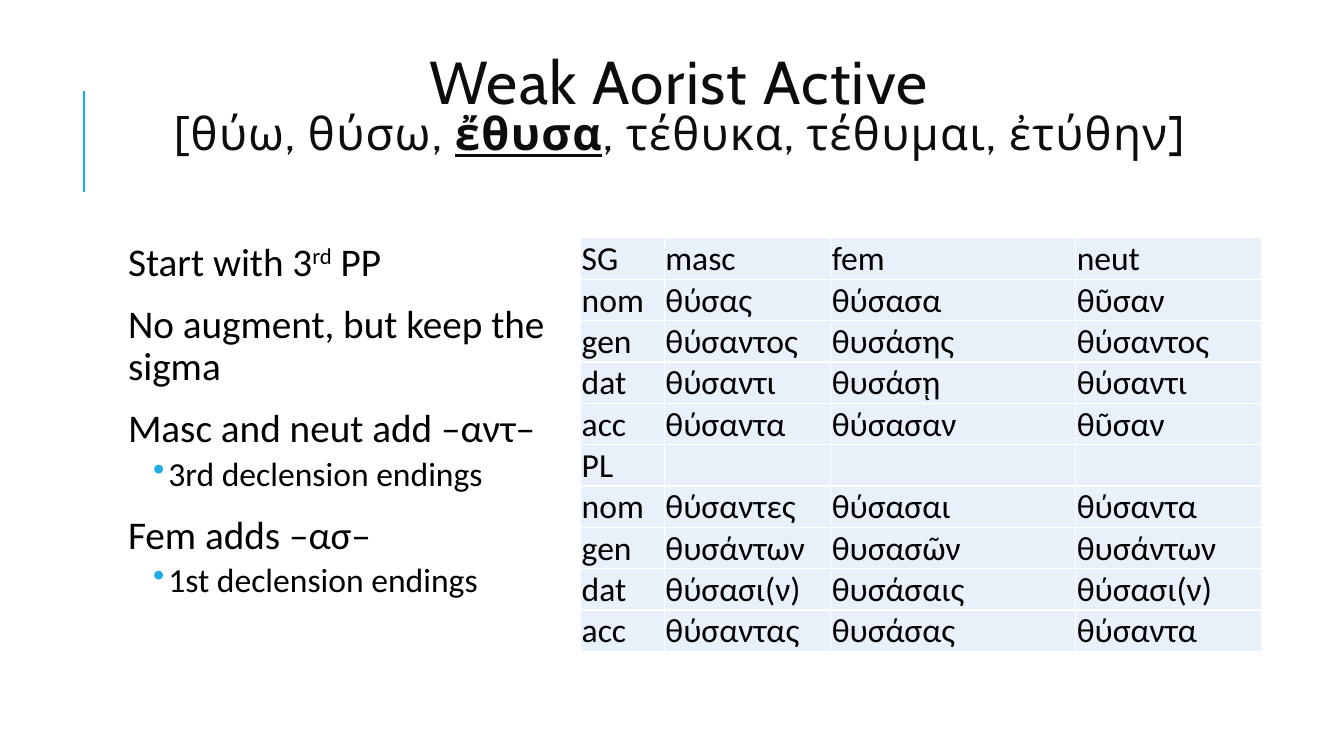
import pptx
import pptx.util
import pptx.dml.color
import pptx.enum.shapes
import pptx.enum.text
import pptx.oxml.ns
import lxml.etree

Inches, Pt = pptx.util.Inches, pptx.util.Pt
RGBColor = pptx.dml.color.RGBColor
ANCHOR = pptx.enum.text.MSO_ANCHOR
qn = pptx.oxml.ns.qn

ACCENT = RGBColor(0x1C, 0xAD, 0xE4)
TITLE_INK = RGBColor(0x0D, 0x0D, 0x0D)
BLACK = RGBColor(0, 0, 0)
WHITE = RGBColor(0xFF, 0xFF, 0xFF)
PALE_BLUE = RGBColor(0xE8, 0xF1, 0xFA)

# Content
HEADING = "Weak Aorist Active"
PRINCIPAL_PARTS = [("[θύω, θύσω, ", False), ("ἔθυσα", True),
                   (", τέθυκα, τέθυμαι, ἐτύθην]", False)]
# Each rule: is it a sub-point, then its runs as (text, superscript)
RULES = [
    (False, [("Start with 3", False), ("rd", True), (" PP", False)]),
    (False, [("No augment, but keep the sigma", False)]),
    (False, [("Masc and neut add –αντ–", False)]),
    (True, [("3rd declension endings", False)]),
    (False, [("Fem adds –ασ–", False)]),
    (True, [("1st declension endings", False)]),
]
PARADIGM = [
    ("SG", "masc", "fem", "neut"),
    ("nom", "θύσας", "θύσασα", "θῦσαν"),
    ("gen", "θύσαντος", "θυσάσης", "θύσαντος"),
    ("dat", "θύσαντι", "θυσάσῃ", "θύσαντι"),
    ("acc", "θύσαντα", "θύσασαν", "θῦσαν"),
    ("PL", "", "", ""),
    ("nom", "θύσαντες", "θύσασαι", "θύσαντα"),
    ("gen", "θυσάντων", "θυσασῶν", "θυσάντων"),
    ("dat", "θύσασι(ν)", "θυσάσαις", "θύσασι(ν)"),
    ("acc", "θύσαντας", "θυσάσας", "θύσαντα"),
]

# Layout, in inches
LEFT, CONTENT_TOP = 1.12, 2.36
TABLE_LEFT = 5.76
COLUMNS = [0.83, 1.65, 2.43, 1.84]
ROW = 0.41


def add_run(paragraph, text, size, face, color):
    run = paragraph.add_run()
    run.text = text
    run.font.size = Pt(size)
    run.font.name = face
    run.font.color.rgb = color
    return run


def add_text_frame(slide, left, top, width, height):
    frame = slide.shapes.add_textbox(
        Inches(left), Inches(top), Inches(width), Inches(height)).text_frame
    frame.word_wrap = True
    return frame


def add_accent_rule(slide):
    rule = slide.shapes.add_connector(
        pptx.enum.shapes.MSO_CONNECTOR.STRAIGHT,
        Inches(0.83), Inches(1.9), Inches(0.83), Inches(0.9))
    rule.line.color.rgb = ACCENT
    rule.line.width = Pt(1.5)
    lxml.etree.SubElement(rule._element.spPr, qn("a:effectLst"))


def add_title(slide):
    frame = add_text_frame(slide, LEFT, 0.64, 11.24, 0.88)
    frame.vertical_anchor = ANCHOR.MIDDLE
    title = frame.paragraphs[0]
    title.alignment = pptx.enum.text.PP_ALIGN.CENTER
    title.line_spacing = 0.8
    runs = [add_run(title, HEADING, 43.2, "Cabin", TITLE_INK)]
    title.add_line_break()
    for text, stressed in PRINCIPAL_PARTS:
        run = add_run(title, text, 32.4, "Cabin", TITLE_INK)
        run.font.bold = run.font.underline = stressed
        runs.append(run)
    for run in runs:
        run.font._element.set("spc", "100")


def add_rules(slide):
    frame = add_text_frame(slide, LEFT, CONTENT_TOP, 4.56, 4.54)
    frame.margin_left = frame.margin_right = Inches(0.05)
    frame.margin_top = frame.margin_bottom = Inches(0.05)
    for number, (is_sub, runs) in enumerate(RULES):
        paragraph = frame.add_paragraph() if number else frame.paragraphs[0]
        paragraph.line_spacing = 0.9
        if number:
            paragraph.space_before = Pt(2 if is_sub else 12)
        paragraph.space_after = Pt(4 if is_sub else 2)
        properties = paragraph._p.get_or_add_pPr()
        properties.set("marL", str(Inches(0.5 if is_sub else 0.1)))
        properties.set("indent", str(Inches(-0.15 if is_sub else 0)))
        if is_sub:
            paragraph.level = 1
            bullet_color = lxml.etree.SubElement(properties, qn("a:buClr"))
            lxml.etree.SubElement(bullet_color, qn("a:srgbClr"), val=str(ACCENT))
            lxml.etree.SubElement(properties, qn("a:buChar"), char="•")
        else:
            lxml.etree.SubElement(properties, qn("a:buNone"))
        for text, raised in runs:
            run = add_run(paragraph, text, 24 if is_sub else 28, "Calibri", BLACK)
            if raised:
                run.font._element.set("baseline", "30000")


def style_cell(cell):
    cell.vertical_anchor = ANCHOR.BOTTOM
    cell.margin_left = cell.margin_right = cell.margin_top = Inches(0.01)
    cell.margin_bottom = 0
    properties = cell._tc.get_or_add_tcPr()
    for side in ("lnL", "lnR", "lnT", "lnB"):
        border = lxml.etree.SubElement(properties, qn("a:" + side), w=str(Pt(1)))
        fill = lxml.etree.SubElement(border, qn("a:solidFill"))
        lxml.etree.SubElement(fill, qn("a:srgbClr"), val=str(WHITE))
    cell.fill.solid()
    cell.fill.fore_color.rgb = PALE_BLUE


def add_paradigm(slide):
    table = slide.shapes.add_table(
        len(PARADIGM), len(COLUMNS), Inches(TABLE_LEFT), Inches(CONTENT_TOP),
        Inches(sum(COLUMNS)), Inches(ROW * len(PARADIGM))).table
    table.first_row = table.horz_banding = False
    for column, width in zip(table.columns, COLUMNS):
        column.width = Inches(width)
    for row, forms in zip(table.rows, PARADIGM):
        row.height = Inches(ROW)
        for cell, form in zip(row.cells, forms):
            style_cell(cell)
            if form:
                add_run(cell.text_frame.paragraphs[0], form, 24, "Calibri", BLACK)


def main():
    deck = pptx.Presentation()
    deck.slide_width, deck.slide_height = Inches(13.33), Inches(7.5)
    slide = deck.slides.add_slide(deck.slide_layouts[6])
    add_accent_rule(slide)
    add_title(slide)
    add_rules(slide)
    add_paradigm(slide)
    deck.save("out.pptx")


if __name__ == "__main__":
    main()
